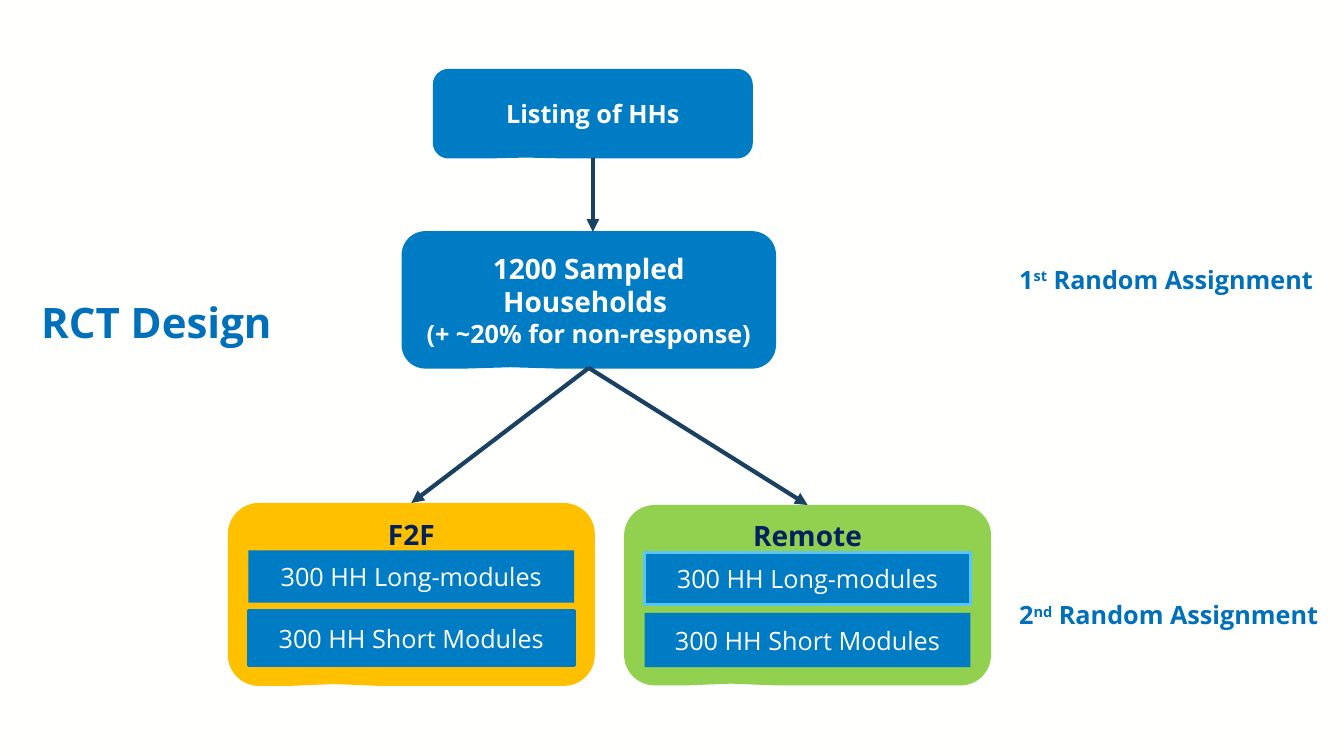
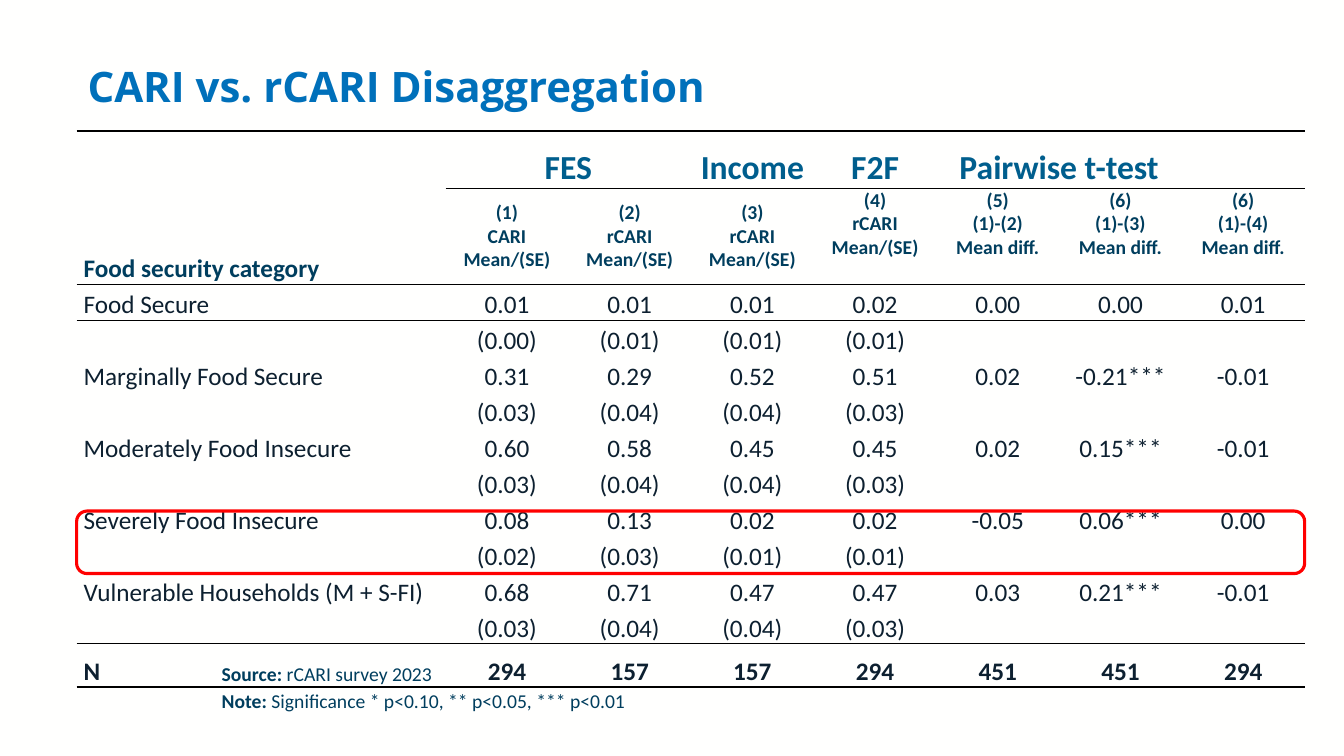
from dataclasses import dataclass, replace

from lxml import etree
from pptx import Presentation
from pptx.dml.color import RGBColor
from pptx.enum.shapes import MSO_CONNECTOR, MSO_SHAPE
from pptx.enum.text import MSO_ANCHOR, PP_ALIGN
from pptx.oxml.ns import qn
from pptx.util import Inches, Pt


@dataclass(frozen=True)
class Style:
    size: float
    color: str
    bold: bool = False
    font: str = "Open Sans"
    superscript: bool = False


@dataclass(frozen=True)
class Theme:
    background = "FFFFFE"
    blue = "007CC5"
    light_blue = "57C5F7"
    arrow = "1A4161"
    amber = "FFC000"
    green = "92D050"
    red = "FF0000"
    rule = "000000"
    title = Style(30, "0070BA", True)
    label = Style(18, "0070BA", True)
    step = Style(18, "FFFFFE", True)
    step_large = Style(20, "FFFFFE", True)
    arm = Style(20, "002060", True)
    module = Style(18, "FFFFFE")
    table_group = Style(24, "005E8D", True, "Calibri")
    table_corner = Style(18, "003E5E", True, "Calibri")
    table_header = Style(14, "003E5E", True, "Calibri")
    table_body = Style(18, "0D2030", False, "Calibri")
    table_total = Style(18, "0D2030", True, "Calibri")
    note = Style(14, "003E5E", False, "Calibri")


THEME = Theme()
CELL = Inches(0.1)  # side of one square of the layout grid
TABLE_STYLE_NONE = "{2D5ABB26-0587-4C30-8999-92F81FD0307C}"


@dataclass(frozen=True)
class Box:
    """A rectangle in grid columns and rows."""
    left: float
    top: float
    width: float
    height: float

    def inside(self, left, top, width, height):
        return Box(self.left + left, self.top + top, width, height)

    def lengths(self):
        return [int(value * CELL) for value in (self.left, self.top, self.width, self.height)]

    def top_center(self):
        return self.left + self.width / 2, self.top

    def bottom_center(self):
        return self.left + self.width / 2, self.top + self.height


def write(frame, paragraphs, align=PP_ALIGN.LEFT, line_spacing=1.0, space_after=0):
    """Fill a frame; each paragraph is a list of (text, style) runs."""
    for index, pieces in enumerate(paragraphs):
        paragraph = frame.add_paragraph() if index else frame.paragraphs[0]
        paragraph.alignment = align
        paragraph.line_spacing = line_spacing
        paragraph.space_after = Pt(space_after)
        for text, style in pieces:
            run = paragraph.add_run()
            run.text = text
            run.font.name = style.font
            run.font.size = Pt(style.size)
            run.font.bold = style.bold
            run.font.color.rgb = RGBColor.from_string(style.color)
            if style.superscript:
                run.font._element.set("baseline", "30000")


def add_text(slide, box, paragraphs, anchor=MSO_ANCHOR.TOP, **layout):
    frame = slide.shapes.add_textbox(*box.lengths()).text_frame
    frame.word_wrap = True
    frame.vertical_anchor = anchor
    write(frame, paragraphs, **layout)


def add_title(slide, box, text):
    add_text(slide, box, [[(text, THEME.title)]], MSO_ANCHOR.MIDDLE, line_spacing=0.9)


def add_block(slide, kind, box, paragraphs=(), fill=None, line=None, line_width=1.0,
              anchor=MSO_ANCHOR.MIDDLE):
    shape = slide.shapes.add_shape(kind, *box.lengths())
    shape.shadow.inherit = False
    if fill:
        shape.fill.solid()
        shape.fill.fore_color.rgb = RGBColor.from_string(fill)
    else:
        shape.fill.background()
    if line:
        shape.line.color.rgb = RGBColor.from_string(line)
        shape.line.width = Pt(line_width)
    else:
        shape.line.fill.background()
    shape.text_frame.word_wrap = True
    shape.text_frame.vertical_anchor = anchor
    write(shape.text_frame, paragraphs, PP_ALIGN.CENTER)
    return shape


def add_callout(slide, box, paragraphs, **look):
    shape = add_block(slide, MSO_SHAPE.ROUNDED_RECTANGULAR_CALLOUT, box, paragraphs, **look)
    for index, value in enumerate((-0.21, 0.49, 0.17)):
        shape.adjustments[index] = value


def add_arrow(slide, start, end):
    points = [int(value * CELL) for value in (*start, *end)]
    connector = slide.shapes.add_connector(MSO_CONNECTOR.STRAIGHT, *points)
    connector.line.color.rgb = RGBColor.from_string(THEME.arrow)
    connector.line.width = Pt(3)
    etree.SubElement(connector.line._get_or_add_ln(), qn("a:tailEnd"), type="triangle")
    etree.SubElement(connector._element.spPr, qn("a:effectLst"))


def add_arm(slide, box, name, fill, outlines):
    """One survey arm with its long and short module bars."""
    add_callout(slide, box, [[(name, THEME.arm)]], fill=fill, anchor=MSO_ANCHOR.TOP)
    bars = (("300 HH Long-modules", 4.7, 5.2), ("300 HH Short Modules", 10.7, 5.4))
    for (text, top, height), outline in zip(bars, outlines):
        add_block(slide, MSO_SHAPE.RECTANGLE, box.inside(2.05, top, 32.3, height),
                  [[(text, THEME.module)]], fill=THEME.blue, line=outline, line_width=2.25)


def add_assignment_label(slide, box, number, ending):
    raised = replace(THEME.label, superscript=True)
    add_text(slide, box, [[(number, THEME.label), (ending, raised),
                           (" Random Assignment", THEME.label)]])


def add_flow(slide, box):
    """The flow from listing through sampling to the two survey arms."""
    listing = box.inside(20.4, 0, 31.6, 8.75)
    sample = box.inside(17.3, 16.1, 37, 13.5)
    face_to_face = box.inside(0, 43, 36.4, 18.15)
    remote = box.inside(39.3, 43.2, 36.4, 17.9)
    add_arm(slide, remote, "Remote", THEME.green, (THEME.light_blue, None))
    add_arm(slide, face_to_face, "F2F", THEME.amber, (None, THEME.blue))
    add_callout(slide, sample, [[("1200 Sampled Households ", THEME.step_large)],
                                [("(+ ~20% for non-response)", THEME.step)]],
                fill=THEME.blue, line=THEME.blue)
    add_callout(slide, listing, [[("Listing of HHs", THEME.step)]],
                fill=THEME.blue, line=THEME.blue)
    listing_exit = listing.bottom_center()
    add_arrow(slide, listing_exit, (listing_exit[0], sample.top))
    for arm in (face_to_face, remote):
        add_arrow(slide, sample.bottom_center(), arm.top_center())


GROUPS = {1: "FES", 3: "Income", 4: "F2F", 5: "Pairwise t-test"}
HEADERS = [("(1)", "CARI", "Mean/(SE)"), ("(2)", "rCARI", "Mean/(SE)"),
           ("(3)", "rCARI", "Mean/(SE)"), ("(4)", "rCARI", "Mean/(SE)"),
           ("(5)", "(1)-(2)", "Mean diff."), ("(6)", "(1)-(3)", "Mean diff."),
           ("(6)", "(1)-(4)", "Mean diff.")]
RESULTS = [
    ("Food Secure", "0.01", "0.01", "0.01", "0.02", "0.00", "0.00", "0.01"),
    ("", "(0.00)", "(0.01)", "(0.01)", "(0.01)"),
    ("Marginally Food Secure", "0.31", "0.29", "0.52", "0.51", "0.02", "-0.21***", "-0.01"),
    ("", "(0.03)", "(0.04)", "(0.04)", "(0.03)"),
    ("Moderately Food Insecure", "0.60", "0.58", "0.45", "0.45", "0.02", "0.15***", "-0.01"),
    ("", "(0.03)", "(0.04)", "(0.04)", "(0.03)"),
    ("Severely Food Insecure", "0.08", "0.13", "0.02", "0.02", "-0.05", "0.06***", "0.00"),
    ("", "(0.02)", "(0.03)", "(0.01)", "(0.01)"),
    ("Vulnerable Households (M + S-FI)", "0.68", "0.71", "0.47", "0.47", "0.03", "0.21***",
     "-0.01"),
    ("", "(0.03)", "(0.04)", "(0.04)", "(0.03)"),
    ("N", "294", "157", "157", "294", "451", "451", "294"),
]


def set_border(cell, side, width):
    """Rule one side of a cell; lines must precede the fill in the XML."""
    properties = cell._tc.get_or_add_tcPr()
    line = etree.Element(qn(f"a:ln{side}"), w=str(Pt(width)))
    fill = etree.SubElement(line, qn("a:solidFill"))
    etree.SubElement(fill, qn("a:srgbClr"), val=THEME.rule)
    properties.insert(len(properties.findall(qn("a:lnT"))), line)


def rule_row(table, row, side, width, first_column=0):
    for column in range(first_column, len(table.columns)):
        set_border(table.cell(row, column), side, width)


def prepare_cells(table):
    for cell in table.iter_cells():
        cell.fill.background()
        cell.margin_left = cell.margin_right = Inches(0.07)
        cell.margin_top = cell.margin_bottom = 0
        cell.vertical_anchor = MSO_ANCHOR.BOTTOM


def fill_header(table):
    table.cell(0, 0).merge(table.cell(1, 0))
    write(table.cell(0, 0).text_frame, [[("Food security category", THEME.table_corner)]])
    for column in (1, 5):
        table.cell(0, column).merge(table.cell(0, column + 1))
    for column, name in GROUPS.items():
        write(table.cell(0, column).text_frame, [[(name, THEME.table_group)]],
              PP_ALIGN.CENTER, 1.07, 8)
    for column, lines in enumerate(HEADERS, 1):
        cell = table.cell(1, column)
        cell.vertical_anchor = MSO_ANCHOR.MIDDLE if column < 4 else MSO_ANCHOR.TOP
        write(cell.text_frame, [[(line, THEME.table_header)] for line in lines],
              PP_ALIGN.CENTER)


def fill_results(table):
    for row, values in enumerate(RESULTS, 2):
        style = THEME.table_total if values[0] == "N" else THEME.table_body
        for column, value in enumerate(values):
            if value:
                write(table.cell(row, column).text_frame, [[(value, style)]],
                      PP_ALIGN.CENTER if column else PP_ALIGN.LEFT, 1.15)


def add_results_table(slide, box):
    row_heights = [5.7, 9.5] + [3.57] * (len(RESULTS) - 1) + [4.3]
    column_widths = [36.6] + [12.17] * len(HEADERS)
    frame = slide.shapes.add_table(len(row_heights), len(column_widths), *box.lengths())
    table = frame.table
    table.first_row = table.horz_banding = False
    table._tbl.tblPr.find(qn("a:tableStyleId")).text = TABLE_STYLE_NONE
    for row, height in zip(table.rows, row_heights):
        row.height = int(height * CELL)
    for column, width in zip(table.columns, column_widths):
        column.width = int(width * CELL)
    prepare_cells(table)
    fill_header(table)
    fill_results(table)
    last = len(row_heights) - 1
    rule_row(table, 0, "T", 1.5)
    rule_row(table, 0, "B", 1.5, first_column=1)
    rule_row(table, 1, "T", 1.5, first_column=1)
    for upper in (1, last - 1):
        rule_row(table, upper, "B", 1)
        rule_row(table, upper + 1, "T", 1)
    rule_row(table, last, "B", 1.5)


def add_notes_below(slide, box):
    bold = replace(THEME.note, bold=True)
    add_text(slide, box, [
        [("Source:", bold), (" rCARI survey 2023", THEME.note)],
        [("Note:", bold), (" Significance * p<0.10, ** p<0.05, *** p<0.01 ", THEME.note)],
    ], align=PP_ALIGN.JUSTIFY, line_spacing=1.15)


def new_slide(presentation):
    slide = presentation.slides.add_slide(presentation.slide_layouts[6])
    slide.background.fill.solid()
    slide.background.fill.fore_color.rgb = RGBColor.from_string(THEME.background)
    return slide


def build_design_slide(presentation):
    slide = new_slide(presentation)
    add_title(slide, Box(3.1, 25.3, 30, 13.9), "RCT Design")
    add_assignment_label(slide, Box(100.1, 25.7, 33, 4), "1", "st")
    add_assignment_label(slide, Box(100.1, 59, 33, 4), "2", "nd")
    add_flow(slide, Box(22.6, 6.9, 75.7, 61.15))


def build_results_slide(presentation):
    slide = new_slide(presentation)
    add_results_table(slide, Box(7.6, 13, 121.8, 55.2))
    add_title(slide, Box(7.7, 2.5, 115.3, 12.6), "CARI vs. rCARI Disaggregation")
    add_block(slide, MSO_SHAPE.ROUNDED_RECTANGLE, Box(7.6, 50.7, 121.8, 6.2),
              line=THEME.red, line_width=2.25)
    add_notes_below(slide, Box(21, 64.8, 66.7, 6.3))


def main():
    presentation = Presentation()
    presentation.slide_width = Inches(13.33)
    presentation.slide_height = Inches(7.5)
    build_design_slide(presentation)
    build_results_slide(presentation)
    presentation.save("out.pptx")


if __name__ == "__main__":
    main()
